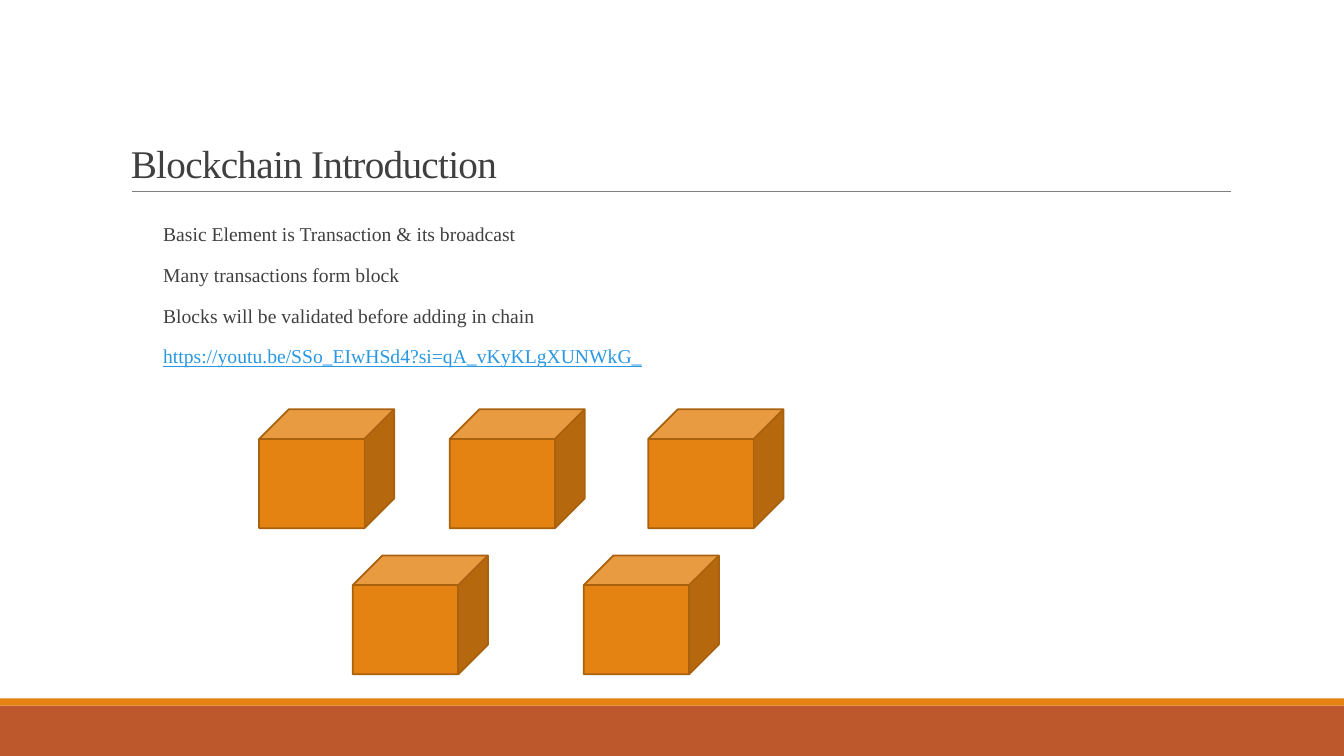
import pptx
import pptx.util
import pptx.dml.color
import pptx.enum.shapes
import pptx.enum.text
import pptx.oxml.ns
import lxml.etree

Inches, Pt = pptx.util.Inches, pptx.util.Pt
SHAPE = pptx.enum.shapes.MSO_SHAPE
ANCHOR = pptx.enum.text.MSO_ANCHOR
ORANGE, RUST, BROWN = "E48312", "BD582C", "A9610D"
TEXT, GREY, LINK = "404040", "808080", "2998E3"


def color(value):
    """Turn a hex string into a colour."""
    return pptx.dml.color.RGBColor.from_string(value)


def add_solid(slide, kind, left, top, width, height, fill, line=None):
    """Add a filled preset shape, outlined if a line colour is given."""
    sp = slide.shapes.add_shape(kind, Inches(left), Inches(top), Inches(width), Inches(height))
    sp.shadow.inherit = False
    sp.fill.solid()
    sp.fill.fore_color.rgb = color(fill)
    if line:
        sp.line.color.rgb = color(line)
        sp.line.width = Pt(1.25)
    else:
        sp.line.fill.background()
    return sp


def add_text(slide, box, lines, size, colors, anchor=ANCHOR.TOP, line_spacing=0.9,
             before=0, after=0, tracking=0, underlined=()):
    """Add a text box with one paragraph per line."""
    tb = slide.shapes.add_textbox(*map(Inches, box))
    tf = tb.text_frame
    tf.word_wrap = True
    tf.vertical_anchor = anchor
    for i, (line, line_color) in enumerate(zip(lines, colors)):
        p = tf.paragraphs[0] if i == 0 else tf.add_paragraph()
        p.line_spacing = line_spacing
        p.space_before = Pt(before if i else 0)
        p.space_after = Pt(after)
        r = p.add_run()
        r.text = line
        r.font.name = "Times New Roman"
        r.font.size = Pt(size)
        r.font.color.rgb = color(line_color)
        if line in underlined:
            r.font.underline = True
        if tracking:
            r.font._element.set("spc", str(int(tracking * 100)))
    return tb


def add_footer(slide, left, top, width, height):
    """Draw the footer band with its thin accent strip on top."""
    strip = 0.07
    add_solid(slide, SHAPE.RECTANGLE, left, top + strip, width, height - strip, RUST)
    add_solid(slide, SHAPE.RECTANGLE, left, top, width, strip, ORANGE)


def add_title(slide, left, top, width, height):
    """Draw the title and the rule beneath it."""
    add_text(slide, (left, top, width, height), ["Blockchain Introduction"], 28, [TEXT],
             anchor=ANCHOR.BOTTOM, line_spacing=0.85, tracking=-0.5)
    y = Inches(top + height)
    rule = slide.shapes.add_connector(pptx.enum.shapes.MSO_CONNECTOR.STRAIGHT,
                                      Inches(left + 0.11), y, Inches(left + width + 0.01), y)
    rule.line.color.rgb = color(GREY)
    rule.line.width = Pt(0.5)
    lxml.etree.SubElement(rule._element.spPr, pptx.oxml.ns.qn("a:effectLst"))


def add_points(slide, left, top, width, height):
    """List the main points and the video address."""
    points = ["Basic Element is Transaction & its broadcast",
              "Many transactions form block",
              "Blocks will be validated before adding in chain"]
    address = "https://youtu.be/SSo_EIwHSd4?si=qA_vKyKLgXUNWkG_"
    add_text(slide, (left, top, width, height), points + [address], 14,
             [TEXT] * len(points) + [LINK], before=12, after=2, underlined=[address])


def add_blocks(slide, left, top):
    """Draw the blocks in two staggered rows."""
    rows = [(0, 1.89, 3.86), (0.93, 3.22)]
    for row, offsets in enumerate(rows):
        for offset in offsets:
            add_solid(slide, SHAPE.CUBE, left + offset, top + 1.45 * row, 1.34, 1.18,
                      ORANGE, BROWN)


def build_slide(prs):
    """Build the blockchain introduction slide."""
    slide = prs.slides.add_slide(prs.slide_layouts[6])
    add_footer(slide, 0, 6.93, 13.33, 0.57)
    add_title(slide, 1.2, 0.31, 11, 1.59)
    add_points(slide, 1.52, 2.18, 8.7, 3.84)
    add_blocks(slide, 2.57, 4.06)


def main():
    """Create and save the presentation."""
    prs = pptx.Presentation()
    prs.slide_width, prs.slide_height = Inches(13.33), Inches(7.5)
    build_slide(prs)
    prs.save("out.pptx")


if __name__ == "__main__":
    main()
